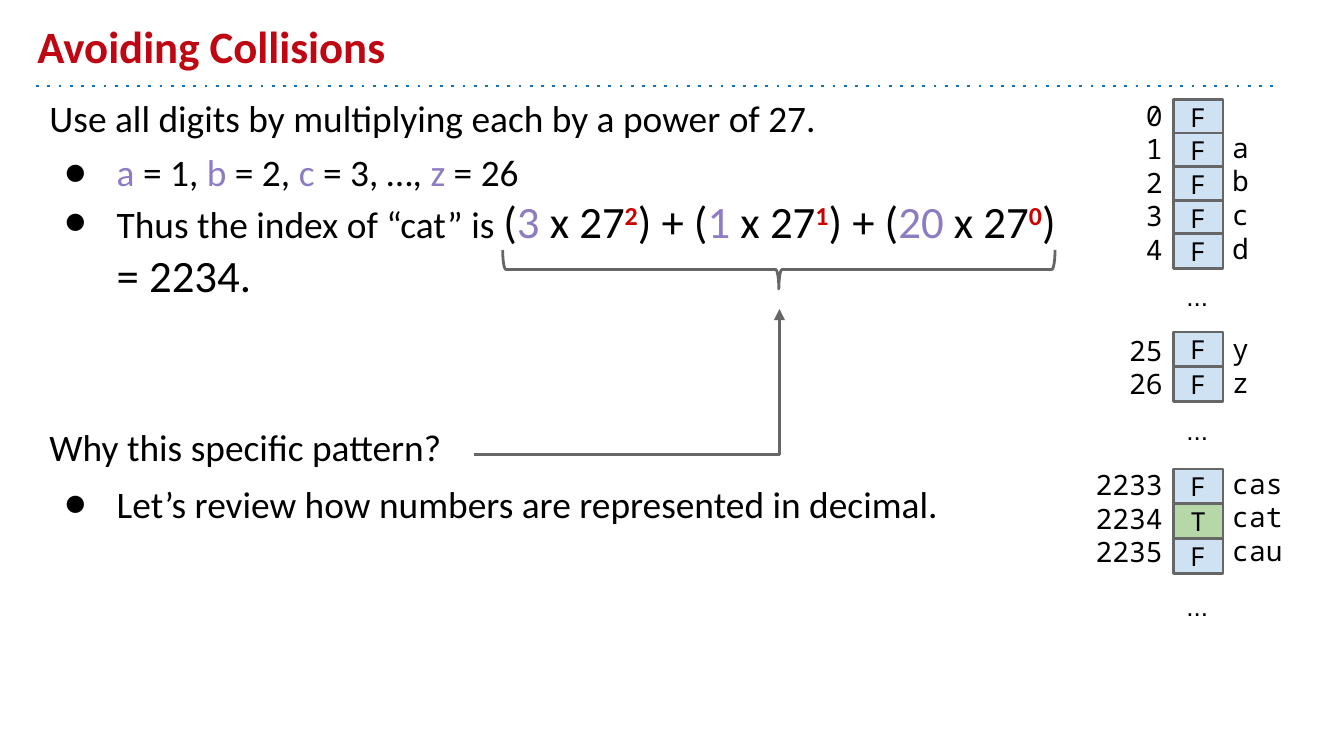
from lxml.etree import SubElement
from pptx import Presentation
from pptx.dml.color import RGBColor
from pptx.enum.shapes import MSO_CONNECTOR, MSO_SHAPE
from pptx.enum.text import MSO_ANCHOR, PP_ALIGN
from pptx.oxml.ns import qn
from pptx.util import Inches, Pt

MONO = "Noto Sans Mono"
GREY = "666666"
PLUM = "8E7CC3"
RED = "CC0000"
rgb = RGBColor.from_string


def style(run, size, font="Calibri", color="000000", bold=False):
    run.font.size = Pt(size)
    run.font.name = font
    run.font.bold = bold
    run.font.color.rgb = rgb(color)


def write(box, lines, size, font, align=PP_ALIGN.LEFT):
    frame = box.text_frame
    frame.word_wrap = True
    frame.margin_left = frame.margin_right = Inches(0.1)
    frame.margin_top = frame.margin_bottom = Inches(0.1)
    frame.text = "\n".join(lines)
    for par in frame.paragraphs:
        par.alignment = align
        for run in par.runs:
            style(run, size, font)
    return frame


deck = Presentation()
deck.slide_width = Inches(10)
deck.slide_height = Inches(10) * 9 // 16
slide = deck.slides.add_slide(deck.slide_layouts[6])
shapes = slide.shapes

rule = shapes.add_connector(
    MSO_CONNECTOR.STRAIGHT, Inches(0.27), Inches(0.64), Inches(9.5), Inches(0.64))
arrow = shapes.add_connector(
    MSO_CONNECTOR.ELBOW, Inches(3.53), Inches(3.38), Inches(5.8), Inches(2.3))
arrow._element.spPr.find(qn("a:prstGeom")).set("prst", "bentConnector2")
for link, color, tag, key, val in [
    (rule, "1072BD", "a:prstDash", "val", "dot"),
    (arrow, GREY, "a:tailEnd", "type", "triangle"),
]:
    link.line.color.rgb = rgb(color)
    link.line.width = Pt(1.5)
    SubElement(link.line._get_or_add_ln(), qn(tag)).set(key, val)
    SubElement(link._element.spPr, qn("a:effectLst"))

title = shapes.add_textbox(Inches(0.18), Inches(0.1), Inches(9), Inches(0.54))
frame = write(title, ["Avoiding Collisions"], 24, "Calibri")
frame.vertical_anchor = MSO_ANCHOR.BOTTOM
style(frame.paragraphs[0].runs[0], 24, color="BE0712", bold=True)

code = []
for mark, num in [("a", "1, "), ("b", "2, "), ("c", "3, …, "), ("z", "26")]:
    code += [(mark, 20, PLUM), (f" = {num}", 20, "000000")]
terms = [("Thus the index of “cat” is ", 20, "000000"), ("(", 24, "000000")]
for num, power, rest in [("3", "2", ") + ("), ("1", "1", ") + ("), ("20", "0", ") = 2234.")]:
    terms += [(num, 24, PLUM), (" x 27", 24, "000000"),
              (power, 24, RED), (rest, 24, "000000")]

for top, tall, head, items in [
    (0.61, 1.75, "Use all digits by multiplying each by a power of 27.",
     [(4.8, code), (0, terms)]),
    (3.06, 1, "Why this specific pattern?",
     [(6, [("Let’s review how numbers are represented in decimal.", 20, "000000")])]),
]:
    box = shapes.add_textbox(Inches(0.27), Inches(top), Inches(7.86), Inches(tall))
    frame = write(box, [head], 20, "Calibri")
    for gap, parts in items:
        par = frame.add_paragraph()
        par.space_before = Pt(gap)
        props = par._p.get_or_add_pPr()
        props.set("marL", str(Inches(0.5)))
        props.set("indent", str(Inches(-0.39)))
        tone = SubElement(props, qn("a:buClr"))
        SubElement(tone, qn("a:srgbClr")).set("val", "000000")
        SubElement(props, qn("a:buSzPts")).set("val", "2000")
        SubElement(props, qn("a:buFont")).set("typeface", "Calibri")
        SubElement(props, qn("a:buChar")).set("char", "●")
        for text, size, color in parts:
            run = par.add_run()
            run.text = text
            style(run, size, color=color, bold=color == RED)
            if color == RED:
                run.font._element.set("baseline", "30000")

brace = shapes.add_shape(
    MSO_SHAPE.LEFT_BRACE, Inches(5.65), Inches(-0.05), Inches(0.29), Inches(4.11))
brace.rotation = 270
brace.adjustments[0] = 0.083
brace.adjustments[1] = 0.5
brace.shadow.inherit = False
brace.fill.background()
brace.line.color.rgb = rgb(GREY)
brace.line.width = Pt(1.5)

for row, top, step, dots, nums, words, flags in [
    (0, 0.74, 0.25, 1.99, ["0", "1", "2", "3", "4"], ["a", "b", "c", "d"], "FFFFF"),
    (7, 2.47, 0.26, 2.98, ["25", "26"], ["y", "z"], "FF"),
    (11, 3.49, 0.26, 4.29, ["2233", "2234", "2235"], ["cas", "cat", "cau"], "FTF"),
]:
    for i, flag in enumerate(flags):
        cell = shapes.add_shape(
            MSO_SHAPE.RECTANGLE, Inches(8.73), Inches(top + i * step),
            Inches(0.37), Inches(0.26))
        cell.shadow.inherit = False
        cell.fill.solid()
        cell.fill.fore_color.rgb = rgb("B6D7A8" if flag == "T" else "CFE2F3")
        cell.line.color.rgb = rgb(GREY)
        cell.line.width = Pt(1.5)
        frame = write(cell, [flag], 14, MONO, PP_ALIGN.CENTER)
        frame.vertical_anchor = MSO_ANCHOR.MIDDLE
    skip = len(nums) - len(words)
    for left, wide, y, lines, align in [
        (8.05, 0.7, 0.63 + row * 0.25, nums, PP_ALIGN.RIGHT),
        (9.07, 0.78, 0.62 + (row + skip) * 0.25, words, PP_ALIGN.LEFT),
    ]:
        box = shapes.add_textbox(
            Inches(left), Inches(y), Inches(wide), Inches(0.2 + len(lines) * 0.25))
        write(box, lines, 15, MONO, align)
    box = shapes.add_textbox(Inches(8.73), Inches(dots), Inches(0.37), Inches(0.26))
    write(box, ["..."], 14, "Arial")

deck.save("out.pptx")
